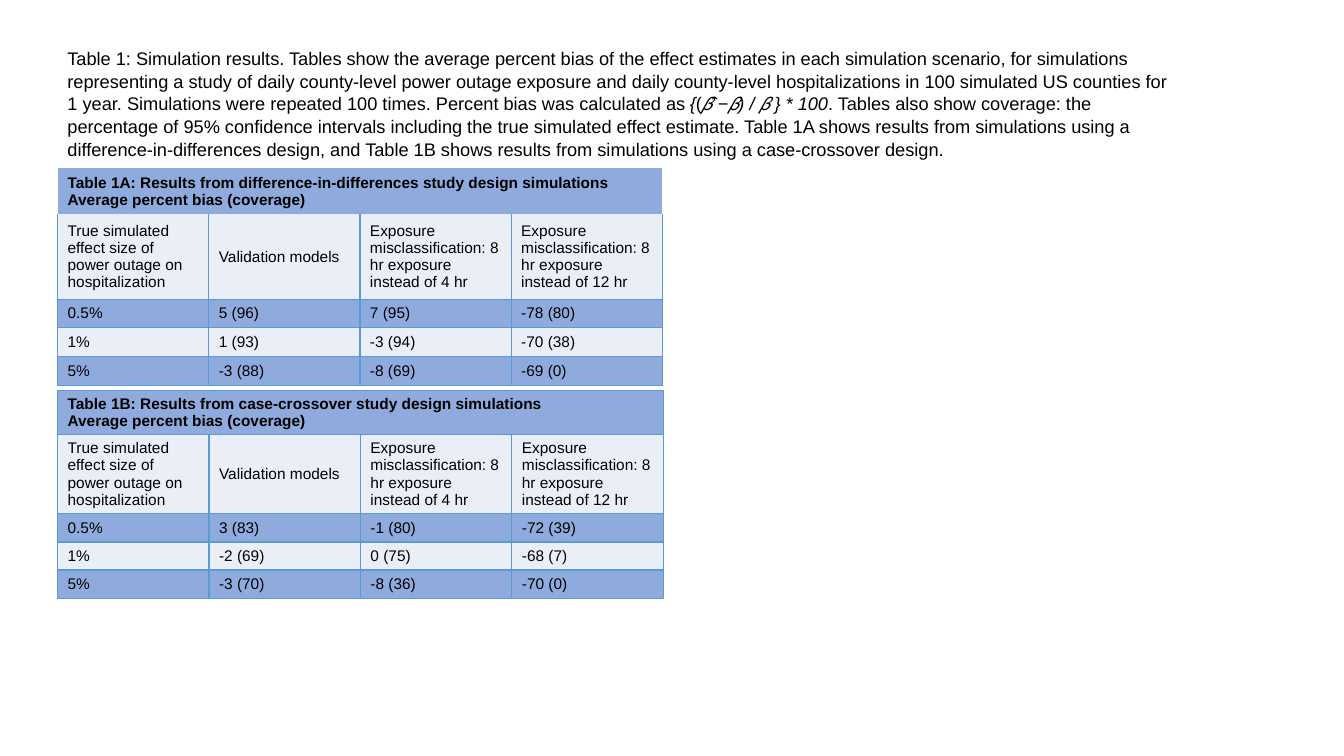
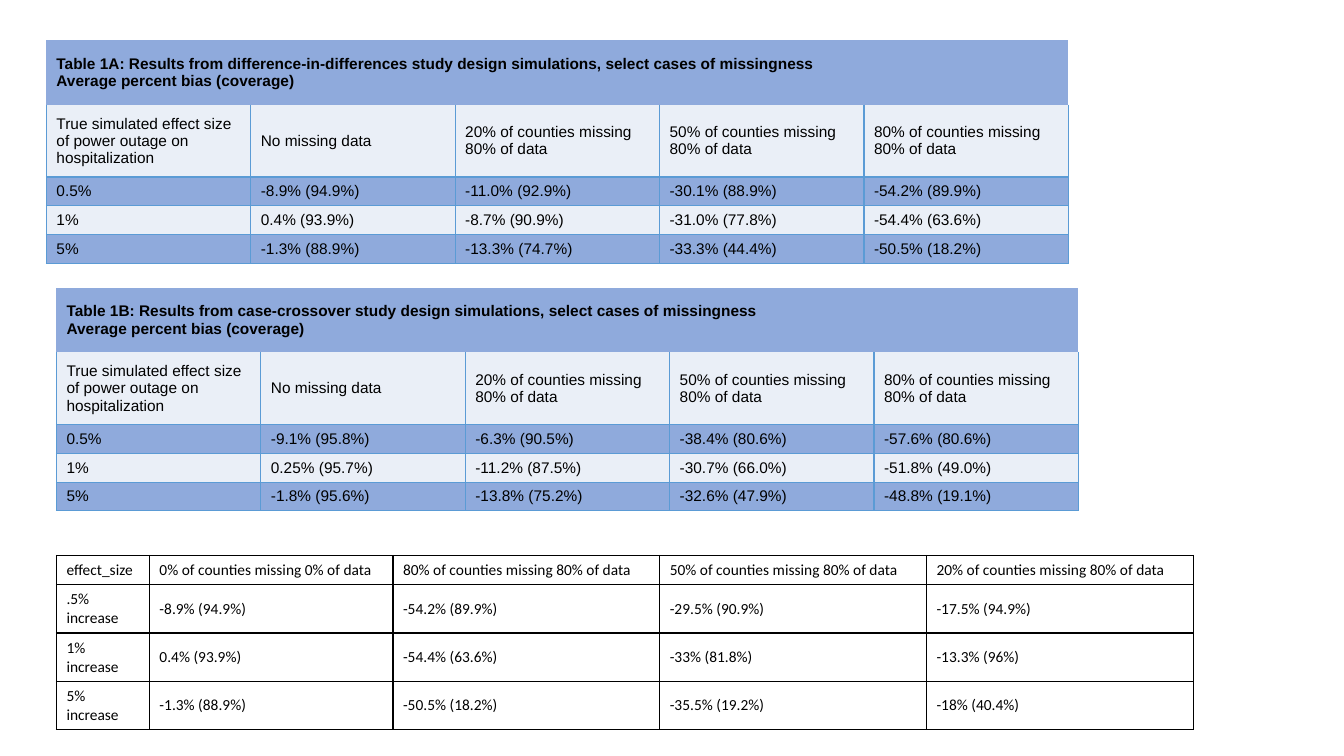
from lxml import etree
from pptx import Presentation
from pptx.dml.color import RGBColor
from pptx.enum.text import MSO_ANCHOR
from pptx.oxml.ns import qn
from pptx.util import Inches, Pt

COLORS = {"band": "8FAADC", "light": "EAEFF7", "grid": "5B9BD5", "text": "000000"}
NO_STYLE = "{2D5ABB26-0587-4C30-8999-92F81FD0307C}"
BLANK_LAYOUT = 6
EFFECT_LABEL = "True simulated effect size of power outage on hospitalization"
BIAS_LABEL = "Average percent bias (coverage)"

CAPTION = [
    ("Table 1: Simulation results. Tables show the average percent bias of the effect "
     "estimates in each simulation scenario, for simulations representing a study of daily "
     "county-level power outage exposure and daily county-level hospitalizations in 100 "
     "simulated US counties for 1 year. Simulations were repeated 100 times. Percent bias "
     "was calculated as ", False),
    ("{", True), ("(", False), ("𝛽", True), ("ˆ−", False), ("𝛽) / 𝛽 } * 100", True),
    (". Tables also show coverage: the percentage of 95% confidence intervals including the "
     "true simulated effect estimate. Table 1A shows results from simulations using a "
     "difference-in-differences design, and Table 1B shows results from simulations using a "
     "case-crossover design.", False),
]
EXPOSURE_HEADS = [
    EFFECT_LABEL, "Validation models",
    "Exposure misclassification: 8 hr exposure instead of 4 hr",
    "Exposure misclassification: 8 hr exposure instead of 12 hr",
]
MISSING_HEADS = [EFFECT_LABEL, "No missing data"] + [
    f"{share}% of counties missing 80% of data" for share in (20, 50, 80)]

EXPOSURE_DID = [
    ["0.5%", "5 (96)", "7 (95)", "-78 (80)"],
    ["1%", "1 (93)", "-3 (94)", "-70 (38)"],
    ["5%", "-3 (88)", "-8 (69)", "-69 (0)"],
]
EXPOSURE_CROSSOVER = [
    ["0.5%", "3 (83)", "-1 (80)", "-72 (39)"],
    ["1%", "-2 (69)", "0 (75)", "-68 (7)"],
    ["5%", "-3 (70)", "-8 (36)", "-70 (0)"],
]
MISSING_DID = [
    ["0.5%", "-8.9% (94.9%)", "-11.0% (92.9%)", "-30.1% (88.9%)", "-54.2% (89.9%)"],
    ["1%", "0.4% (93.9%)", "-8.7% (90.9%)", "-31.0% (77.8%)", "-54.4% (63.6%)"],
    ["5%", "-1.3% (88.9%)", "-13.3% (74.7%)", "-33.3% (44.4%)", "-50.5% (18.2%)"],
]
MISSING_CROSSOVER = [
    ["0.5%", "-9.1% (95.8%)", "-6.3% (90.5%)", "-38.4% (80.6%)", "-57.6% (80.6%)"],
    ["1%", "0.25% (95.7%)", "-11.2% (87.5%)", "-30.7% (66.0%)", "-51.8% (49.0%)"],
    ["5%", "-1.8% (95.6%)", "-13.8% (75.2%)", "-32.6% (47.9%)", "-48.8% (19.1%)"],
]
EFFECT_SIZES = [
    ["effect_size", "0% of counties missing 0% of data", "80% of counties missing 80% of data",
     "50% of counties missing 80% of data", "20% of counties missing 80% of data"],
    [".5% increase", "-8.9% (94.9%)", "-54.2% (89.9%)", "-29.5% (90.9%)", "-17.5% (94.9%)"],
    ["1% increase", "0.4% (93.9%)", "-54.4% (63.6%)", "-33% (81.8%)", "-13.3% (96%)"],
    ["5% increase", "-1.3% (88.9%)", "-50.5% (18.2%)", "-35.5% (19.2%)", "-18% (40.4%)"],
]


class Deck:
    """Style and current slide; lengths are percent of the slide's width or height."""

    def __init__(self):
        self.presentation = Presentation()
        self.presentation.slide_width = Inches(13.33)
        self.presentation.slide_height = Inches(7.5)
        self.slide = None

    def add_slide(self):
        layout = self.presentation.slide_layouts[BLANK_LAYOUT]
        self.slide = self.presentation.slides.add_slide(layout)

    def across(self, percent):
        return round(self.presentation.slide_width * percent / 100)

    def down(self, percent):
        return round(self.presentation.slide_height * percent / 100)

    def format_font(self, font, size, name="Arial", bold=False, italic=False):
        font.size, font.name, font.bold, font.italic = Pt(size), name, bold, italic
        font.color.rgb = RGBColor.from_string(COLORS["text"])

    def caption(self, left, top, width, height, parts):
        box = self.slide.shapes.add_textbox(
            self.across(left), self.down(top), self.across(width), self.down(height))
        box.text_frame.word_wrap = True
        paragraph = box.text_frame.paragraphs[0]
        paragraph.line_spacing = 1.04
        for text, italic in parts:
            run = paragraph.add_run()
            run.text = text
            self.format_font(run.font, 13, italic=italic)

    def borders(self, cell, sides, color):
        """Draw 1 pt lines on the named sides (L, R, T, B) and none on the others."""
        properties = cell._tc.get_or_add_tcPr()
        for side in "LRTB":
            line = etree.SubElement(properties, qn(f"a:ln{side}"), w=str(Pt(1)))
            if side in sides:
                fill = etree.SubElement(line, qn("a:solidFill"))
                etree.SubElement(fill, qn("a:srgbClr"), val=COLORS[color])
            else:
                etree.SubElement(line, qn("a:noFill"))

    def cell(self, cell, text, sides, line, fill=None, font="Arial", bold=False):
        cell.text_frame.text = text
        cell.vertical_anchor = MSO_ANCHOR.MIDDLE
        for paragraph in cell.text_frame.paragraphs:
            self.format_font(paragraph.font, 11, font, bold)
            for run in paragraph.runs:
                self.format_font(run.font, 11, font, bold)
        self.borders(cell, sides, line)
        if fill:
            cell.fill.solid()
            cell.fill.fore_color.rgb = RGBColor.from_string(COLORS[fill])
        else:
            cell.fill.background()

    def table(self, left, top, widths, heights):
        frame = self.slide.shapes.add_table(
            len(heights), len(widths), self.across(left), self.down(top),
            self.across(sum(widths)), self.down(sum(heights)))
        table = frame.table
        table._tbl.tblPr.find(qn("a:tableStyleId")).text = NO_STYLE
        table.first_row = table.horz_banding = False
        for column, width in zip(table.columns, widths):
            column.width = self.across(width)
        for row, height in zip(table.rows, heights):
            row.height = self.down(height)
        return table

    def results_table(self, left, top, column_width, heights, title, heads, rows,
                      framed_title=False):
        """Banded table with a title row across its first four columns."""
        table = self.table(left, top, [column_width] * len(heads), heights)
        title_row = [f"{title}\n{BIAS_LABEL}"] + [""] * (len(heads) - 1)
        for row_index, texts in enumerate([title_row, heads] + rows):
            is_title = row_index == 0
            sides = "LRTB"
            if not framed_title:
                sides = {0: "", 1: "LRB"}.get(row_index, sides)
            fill = "light" if row_index % 2 else "band"
            for column_index, text in enumerate(texts):
                self.cell(table.cell(row_index, column_index), text, sides, "grid",
                          fill, bold=is_title)
        table.cell(0, 0).merge(table.cell(0, 3))

    def plain_table(self, left, top, widths, heights, rows):
        table = self.table(left, top, widths, heights)
        for row_index, texts in enumerate(rows):
            for column_index, text in enumerate(texts):
                self.cell(table.cell(row_index, column_index), text, "LRTB", "text",
                          font="Calibri")


def main():
    deck = Deck()
    did_title = "Table 1A: Results from difference-in-differences study design simulations"
    crossover_title = "Table 1B: Results from case-crossover study design simulations"

    deck.add_slide()
    deck.results_table(4.28, 22.27, 11.25, [6.1, 11.2] + [3.8] * 3,
                       did_title, EXPOSURE_HEADS, EXPOSURE_DID)
    deck.results_table(4.28, 51.6, 11.27, [5.87, 10.5] + [3.72] * 3,
                       crossover_title, EXPOSURE_HEADS, EXPOSURE_CROSSOVER, framed_title=True)
    deck.caption(4.28, 5.47, 83.87, 15.87, CAPTION)

    deck.add_slide()
    missing_heights = [8.5, 9.6] + [3.8] * 3
    for left, top, title, rows in [(4.2, 38.1, crossover_title, MISSING_CROSSOVER),
                                   (3.45, 5.33, did_title, MISSING_DID)]:
        deck.results_table(left, top, 15.21, missing_heights,
                           f"{title}, select cases of missingness", MISSING_HEADS, rows)
    deck.plain_table(4.2, 73.47, [6.92, 18.12] + [19.85] * 3, [3.87] + [6.4] * 3, EFFECT_SIZES)

    deck.presentation.save("out.pptx")


if __name__ == "__main__":
    main()
